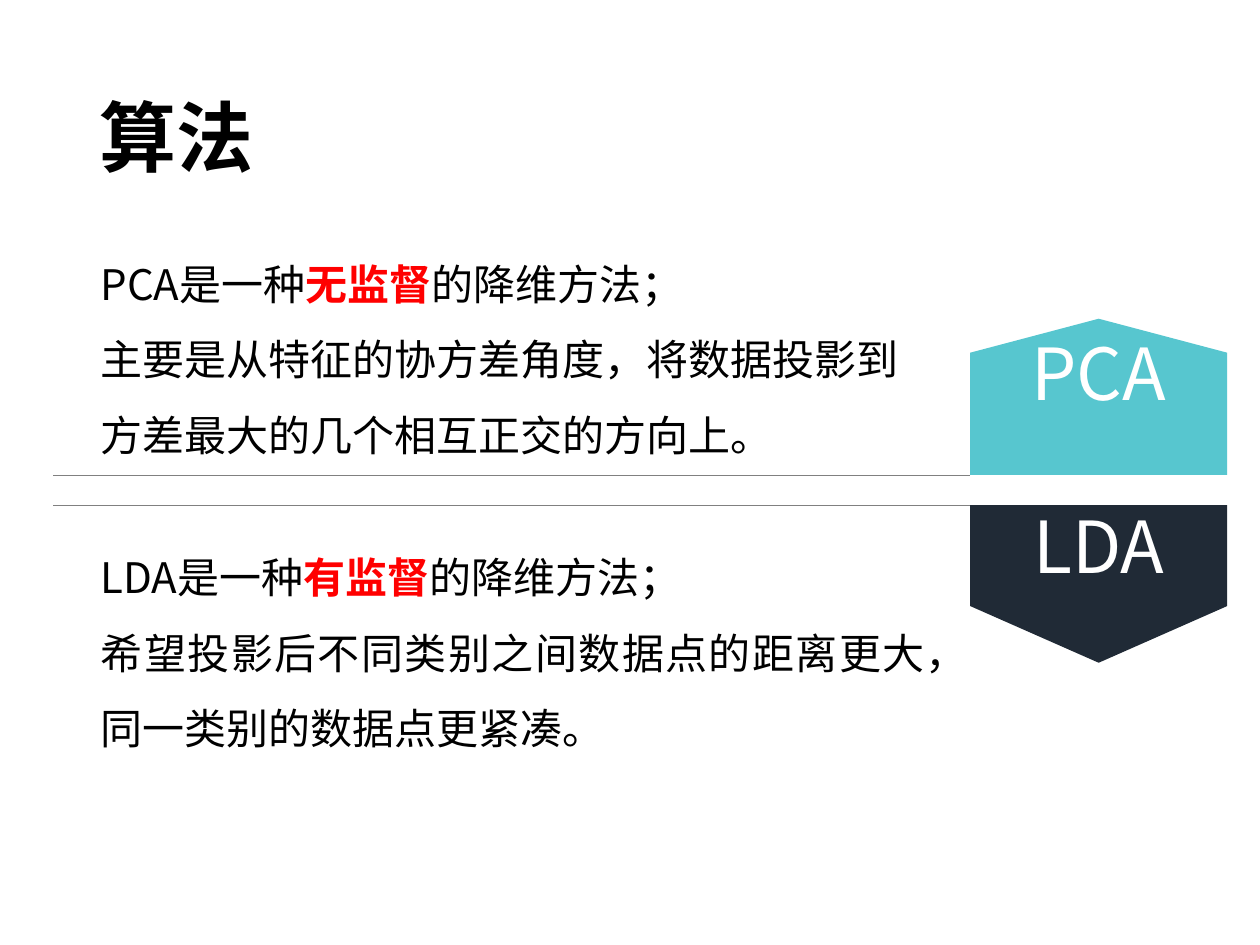
import pptx
import pptx.dml.color
import pptx.enum.shapes
import pptx.enum.text
import pptx.oxml
import pptx.oxml.ns
import pptx.util
from pptx.util import Inches, Pt

RGBColor = pptx.dml.color.RGBColor
ALIGN = pptx.enum.text.PP_ALIGN
ANCHOR = pptx.enum.text.MSO_ANCHOR
AUTO_SIZE = pptx.enum.text.MSO_AUTO_SIZE

BLACK = RGBColor(0x00, 0x00, 0x00)
WHITE = RGBColor(0xFF, 0xFF, 0xFF)
RED = RGBColor(0xFF, 0x00, 0x00)
GRAY = RGBColor(0x80, 0x80, 0x80)
TEAL = RGBColor(0x57, 0xC6, 0xCF)
NAVY = RGBColor(0x20, 0x2A, 0x36)
FONT = "Noto Sans CJK SC"

TITLE = "算法"
TAG_LEFT, TAG_RIGHT = 7.7, 9.74
TAG_MIDDLE = (TAG_LEFT + TAG_RIGHT) / 2
RULE_LEFT = 0.42

# Each tag has a flat base, two shoulders and a tip; its rule extends the base.
METHODS = [
    {
        "tag": "PCA", "fill": TEAL, "base": 3.77, "shoulder": 2.8, "tip": 2.53,
        "inset": 0.62, "spacing": 10, "text_top": 1.8, "align": ALIGN.LEFT,
        "paragraphs": [
            [("PCA是一种", False), ("无监督", True), ("的降维方法；", False)],
            [("主要是从特征的协方差角度，将数据投影到方差最大的几个相互正交的方向上。", False)],
        ],
    },
    {
        "tag": "LDA", "fill": NAVY, "base": 4.01, "shoulder": 4.81, "tip": 5.26,
        "inset": 0.5, "spacing": 11.2, "text_top": 4.13, "align": ALIGN.JUSTIFY,
        "paragraphs": [
            [("LDA是一种", False), ("有监督", True), ("的降维方法；", False)],
            [("希望投影后不同类别之间数据点的距离更大，同一类别的数据点更紧凑。", False)],
        ],
    },
]


def add_run(paragraph, text, size, color, bold=False):
    run = paragraph.add_run()
    run.text = text
    run.font.size = Pt(size)
    run.font.bold = bold
    run.font.color.rgb = color
    run.font.name = FONT
    east_asian = pptx.oxml.parse_xml(
        f'<a:ea {pptx.oxml.ns.nsdecls("a")} typeface="{FONT}"/>')
    run.font._element.find(pptx.oxml.ns.qn("a:latin")).addnext(east_asian)


def add_title(slide):
    title = slide.shapes.title
    title.left, title.top = Inches(0.69), Inches(0.4)
    title.width, title.height = Inches(8.62), Inches(1.45)
    frame = title.text_frame
    frame.auto_size = AUTO_SIZE.NONE
    frame.vertical_anchor = ANCHOR.MIDDLE
    paragraph = frame.paragraphs[0]
    paragraph.alignment = ALIGN.LEFT
    paragraph.line_spacing = 0.9
    add_run(paragraph, TITLE, 44, BLACK, bold=True)


def add_tag(slide, method):
    base, shoulder = method["base"], method["shoulder"]
    outline = [
        (TAG_LEFT, base), (TAG_LEFT, shoulder), (TAG_MIDDLE, method["tip"]),
        (TAG_RIGHT, shoulder), (TAG_RIGHT, base),
    ]
    points = [(Inches(x), Inches(y)) for x, y in outline]
    builder = slide.shapes.build_freeform(*points[0])
    builder.add_line_segments(points[1:], close=True)
    tag = builder.convert_to_shape()
    tag.shadow.inherit = False
    tag.fill.solid()
    tag.fill.fore_color.rgb = method["fill"]
    tag.line.fill.background()
    frame = tag.text_frame
    frame.word_wrap = True
    frame.vertical_anchor = ANCHOR.TOP
    frame.margin_left = frame.margin_right = Inches(0.07)
    frame.margin_top, frame.margin_bottom = Inches(method["inset"]), Inches(0.04)
    paragraph = frame.paragraphs[0]
    paragraph.alignment = ALIGN.CENTER
    paragraph.line_spacing = Pt(method["spacing"])
    add_run(paragraph, method["tag"], 41, WHITE)


def add_rule(slide, y):
    rule = slide.shapes.add_connector(
        pptx.enum.shapes.MSO_CONNECTOR.STRAIGHT,
        Inches(TAG_LEFT), Inches(y), Inches(RULE_LEFT), Inches(y))
    rule.line.color.rgb = GRAY
    rule.line.width = Pt(0.5)
    rule._element.spPr.append(pptx.oxml.parse_xml(
        f'<a:effectLst {pptx.oxml.ns.nsdecls("a")}/>'))


def add_description(slide, method):
    box = slide.shapes.add_textbox(
        Inches(0.7), Inches(method["text_top"]), Inches(6.75), Inches(1.85))
    frame = box.text_frame
    frame.word_wrap = True
    frame.auto_size = AUTO_SIZE.SHAPE_TO_FIT_TEXT
    for index, runs in enumerate(method["paragraphs"]):
        paragraph = frame.add_paragraph() if index else frame.paragraphs[0]
        paragraph.alignment = method["align"]
        paragraph.line_spacing = 1.5
        for text, emphasized in runs:
            add_run(paragraph, text, 24, RED if emphasized else BLACK, emphasized)


def main():
    presentation = pptx.Presentation()
    presentation.slide_width, presentation.slide_height = Inches(10), Inches(7.5)
    slide = presentation.slides.add_slide(
        presentation.slide_layouts.get_by_name("Title Only"))
    add_title(slide)
    for method in METHODS:
        add_tag(slide, method)
        add_rule(slide, method["base"])
        add_description(slide, method)
    presentation.save("out.pptx")


if __name__ == "__main__":
    main()
